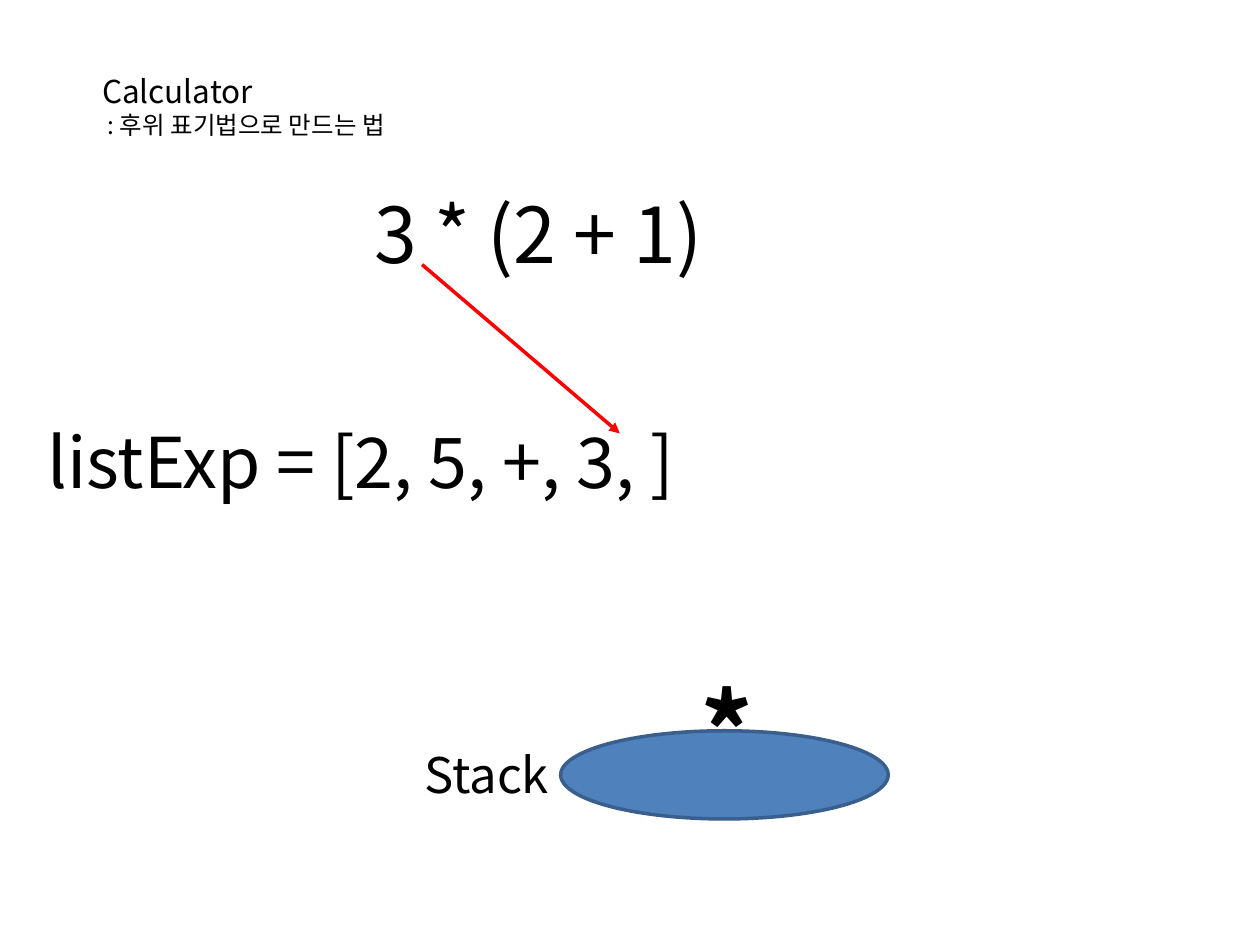
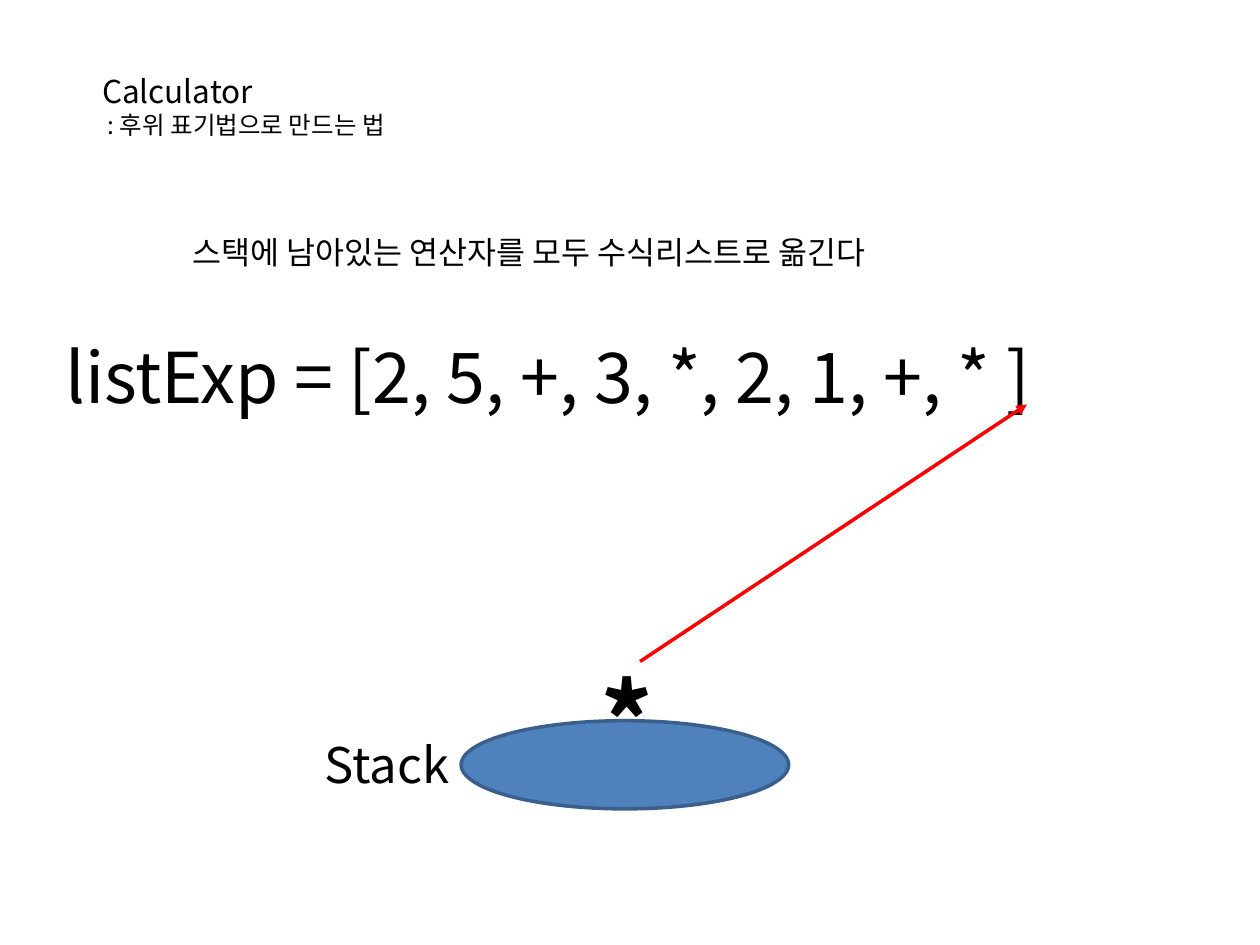
from pptx import Presentation
from pptx.dml.color import RGBColor
from pptx.enum.shapes import MSO_CONNECTOR, MSO_SHAPE
from pptx.enum.text import MSO_ANCHOR, MSO_AUTO_SIZE, PP_ALIGN
from pptx.oxml.ns import qn
from pptx.util import Inches, Pt
from lxml.etree import SubElement

FONT = "Noto Sans CJK KR"
BLACK = "000000"
RED = "FF0000"
BLUE = "4F81BD"
NAVY = "3A5F8C"
TITLE = [("Calculator", 18), (" : 후위 표기법으로 만드는 법", 14)]


def paint(color, tint):
    """Set a colour format from a hex string."""
    color.rgb = RGBColor.from_string(tint)


def place(shape, left, top, width, height):
    """Move and size a shape in inches."""
    shape.left, shape.top = Inches(left), Inches(top)
    shape.width, shape.height = Inches(width), Inches(height)


def write(shape, lines, bold=False):
    """Fill a shape with one left-aligned paragraph per (text, size)."""
    frame = shape.text_frame
    frame.word_wrap = False
    frame.auto_size = MSO_AUTO_SIZE.SHAPE_TO_FIT_TEXT
    frame.vertical_anchor = MSO_ANCHOR.TOP
    for row, (text, size) in enumerate(lines):
        para = frame.add_paragraph() if row else frame.paragraphs[0]
        para.alignment = PP_ALIGN.LEFT
        run = para.add_run()
        run.text = text
        font = run.font
        font.name, font.size, font.bold = FONT, Pt(size), bold
        paint(font.color, BLACK)
        SubElement(run._r.get_or_add_rPr(), qn("a:ea"), typeface=FONT)


def add_text(slide, text, size, box, bold=False):
    """Add a one-line text box."""
    shape = slide.shapes.add_textbox(*map(Inches, box))
    write(shape, [(text, size)], bold)
    return shape


def add_stack(slide, left, top):
    """Add the stack ellipse with its label and the operator on it."""
    add_text(slide, "Stack", 28, (left - 1.18, top + 0.06, 1.26, 0.57))
    disc = slide.shapes.add_shape(
        MSO_SHAPE.OVAL, Inches(left), Inches(top), Inches(2.6), Inches(0.7))
    disc.shadow.inherit = False
    disc.fill.solid()
    paint(disc.fill.fore_color, BLUE)
    paint(disc.line.color, NAVY)
    disc.line.width = Pt(2)
    add_text(slide, "*", 60, (left + 1.01, top - 0.56, 0.59, 1.11), True)


def add_arrow(slide, start, end):
    """Add a red arrow between two points."""
    arrow = slide.shapes.add_connector(
        MSO_CONNECTOR.STRAIGHT, *map(Inches, start + end))
    paint(arrow.line.color, RED)
    arrow.line.width = Pt(2)
    SubElement(arrow.line._get_or_add_ln(), qn("a:tailEnd"), type="triangle")
    SubElement(arrow._element.spPr, qn("a:effectLst"))


def add_page(deck):
    """Add a slide with the shared title."""
    slide = deck.slides.add_slide(deck.slide_layouts[5])
    title = slide.shapes.title
    write(title, TITLE)
    place(title, 0.71, 0.52, 2.75, 0.64)
    return slide


def add_push(deck):
    """Build the slide on the next operator of the expression."""
    slide = add_page(deck)
    term = add_text(slide, "3 * (2 + 1)", 44, (2.46, 1.43, 3.82, 0.84))
    term.text_frame.margin_left = Inches(0.51)
    add_text(slide, "listExp = [2, 5, +, 3, ]", 40, (0.28, 3.27, 5.54, 0.77))
    add_stack(slide, 4.45, 5.8)
    add_arrow(slide, (3.35, 2.1), (4.92, 3.44))


def add_flush(deck):
    """Build the slide on emptying the stack into the list."""
    slide = add_page(deck)
    add_text(slide, "listExp = [2, 5, +, 3, *, 2, 1, +, * ]", 40,
             (0.42, 2.6, 8.5, 0.77))
    add_stack(slide, 3.66, 5.72)
    add_text(slide, "스택에 남아있는 연산자를 모두 수식리스트로 옮긴다", 18,
             (1.43, 1.8, 6.2, 0.4))
    add_arrow(slide, (5.08, 5.25), (8.15, 3.21))


def main():
    """Build and save the deck."""
    deck = Presentation()
    deck.slide_width, deck.slide_height = Inches(10), Inches(7.5)
    add_push(deck)
    add_flush(deck)
    deck.save("out.pptx")


main()
